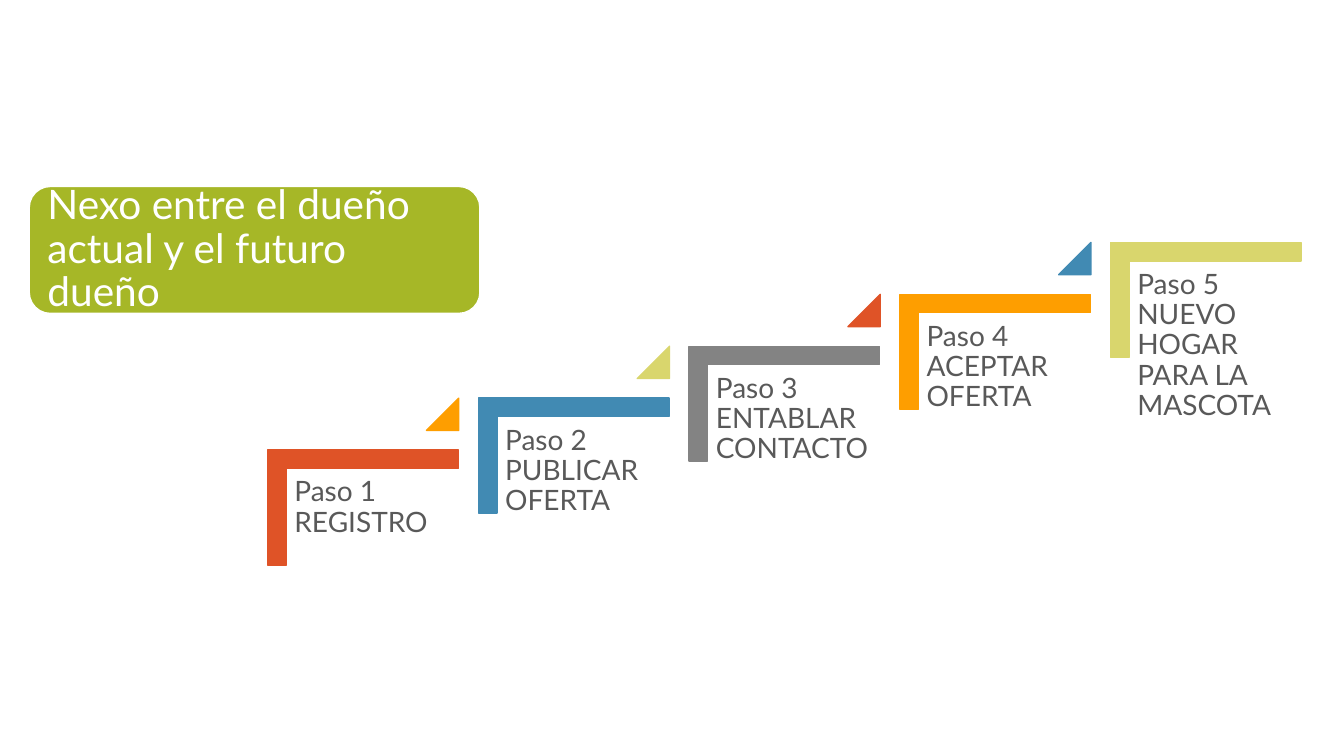
from pptx import Presentation
from pptx.dml.color import RGBColor
from pptx.enum.shapes import MSO_SHAPE
from pptx.enum.text import MSO_ANCHOR, MSO_AUTO_SIZE, PP_ALIGN
from pptx.util import Inches, Pt

CORNER = MSO_SHAPE.CORNER
TRIANGLE = MSO_SHAPE.ISOSCELES_TRIANGLE
ROUNDED = MSO_SHAPE.ROUNDED_RECTANGLE
TOP, MIDDLE = MSO_ANCHOR.TOP, MSO_ANCHOR.MIDDLE
NO_AUTOFIT = MSO_AUTO_SIZE.NONE
LEFT = PP_ALIGN.LEFT

RED = RGBColor(0xDF, 0x53, 0x27)
ORANGE = RGBColor(0xFE, 0x9E, 0x00)
BLUE = RGBColor(0x41, 0x8A, 0xB3)
LIME = RGBColor(0xD9, 0xD6, 0x6D)
GRAY = RGBColor(0x83, 0x83, 0x83)
GREEN = RGBColor(0xA6, 0xB7, 0x27)
WHITE = RGBColor(0xFF, 0xFF, 0xFF)
TEXT_GRAY = RGBColor(0x59, 0x59, 0x59)

FONT = "Lato"
SLIDE_WIDTH, SLIDE_HEIGHT = 13.33, 7.5
FIRST_LEFT, FIRST_TOP = 3.03, 4.09
COLUMN, RISE = 2.09, 0.515
CORNER_WIDTH, CORNER_HEIGHT = 1.14, 1.89
TRIANGLE_SIZE = 0.32

TITLE = "Nexo entre el dueño actual y el futuro dueño"
STEPS = [
    ("Paso 1", "REGISTRO", RED, ORANGE),
    ("Paso 2", "PUBLICAR OFERTA", BLUE, LIME),
    ("Paso 3", "ENTABLAR CONTACTO", GRAY, RED),
    ("Paso 4", "ACEPTAR OFERTA", ORANGE, BLUE),
    ("Paso 5", "NUEVO HOGAR PARA LA MASCOTA", LIME, None),
]


def apply_format(target, values):
    """Set each attribute named in values on the target."""
    for name, value in values.items():
        setattr(target, name, value)


def add_filled_shape(slide, kind, box, fill, line, adjustments=(), rotation=0):
    """Add a flat preset shape with a one-point outline."""
    shape = slide.shapes.add_shape(kind, *map(Inches, box))
    shape.shadow.inherit = False
    shape.rotation = rotation
    shape.fill.solid()
    shape.fill.fore_color.rgb = fill
    shape.line.color.rgb = line
    shape.line.width = Pt(1)
    for index, value in enumerate(adjustments):
        shape.adjustments[index] = value


def write_text(shape, lines, size, color, inset, anchor):
    """Write the lines as one left-aligned paragraph in a shape."""
    margins = {f"margin_{side}": Inches(inset)
               for side in ("left", "top", "right", "bottom")}
    apply_format(shape.text_frame, {
        "word_wrap": True, "auto_size": NO_AUTOFIT,
        "vertical_anchor": anchor, **margins})
    paragraph = shape.text_frame.paragraphs[0]
    apply_format(paragraph, {
        "alignment": LEFT, "line_spacing": 0.9, "space_before": Pt(0)})
    for index, line in enumerate(lines):
        if index:
            paragraph.add_line_break()
        run = paragraph.add_run()
        run.text = line
        apply_format(run.font, {"name": FONT, "size": Pt(size)})
        run.font.color.rgb = color


def add_step(slide, index, label, action, color, triangle_color):
    """Add one stair: its corner, its text and the triangle leading up."""
    left = FIRST_LEFT + index * COLUMN
    top = FIRST_TOP - index * RISE
    add_filled_shape(slide, CORNER, (left, top, CORNER_WIDTH, CORNER_HEIGHT),
                     color, color, (0.161, 0.161), 90)
    text_box = slide.shapes.add_textbox(
        *map(Inches, (left - 0.19, top + 0.57, 1.71, 1.5)))
    write_text(text_box, (label, action), 20, TEXT_GRAY, 0.08, TOP)
    if triangle_color is not None:
        box = (left + 1.2, top - 0.14, TRIANGLE_SIZE, TRIANGLE_SIZE)
        add_filled_shape(slide, TRIANGLE, box, triangle_color,
                         triangle_color, (1,))


def add_title_banner(slide):
    """Add the rounded banner and lay the title placeholder over it."""
    add_filled_shape(slide, ROUNDED, (0.29, 1.85, 4.47, 1.26), GREEN, WHITE)
    title = slide.shapes.title
    apply_format(title, {
        "left": Inches(0.35), "top": Inches(1.91),
        "width": Inches(4.35), "height": Inches(1.14)})
    write_text(title, (TITLE,), 29, WHITE, 0.12, MIDDLE)
    slide.shapes.element.append(title.element)


def main():
    """Build the staircase slide and save it."""
    presentation = Presentation()
    apply_format(presentation, {
        "slide_width": Inches(SLIDE_WIDTH),
        "slide_height": Inches(SLIDE_HEIGHT)})
    slide = presentation.slides.add_slide(
        presentation.slide_layouts.get_by_name("Title Only"))
    for index, step in enumerate(STEPS):
        add_step(slide, index, *step)
    add_title_banner(slide)
    presentation.save("out.pptx")


if __name__ == "__main__":
    main()
